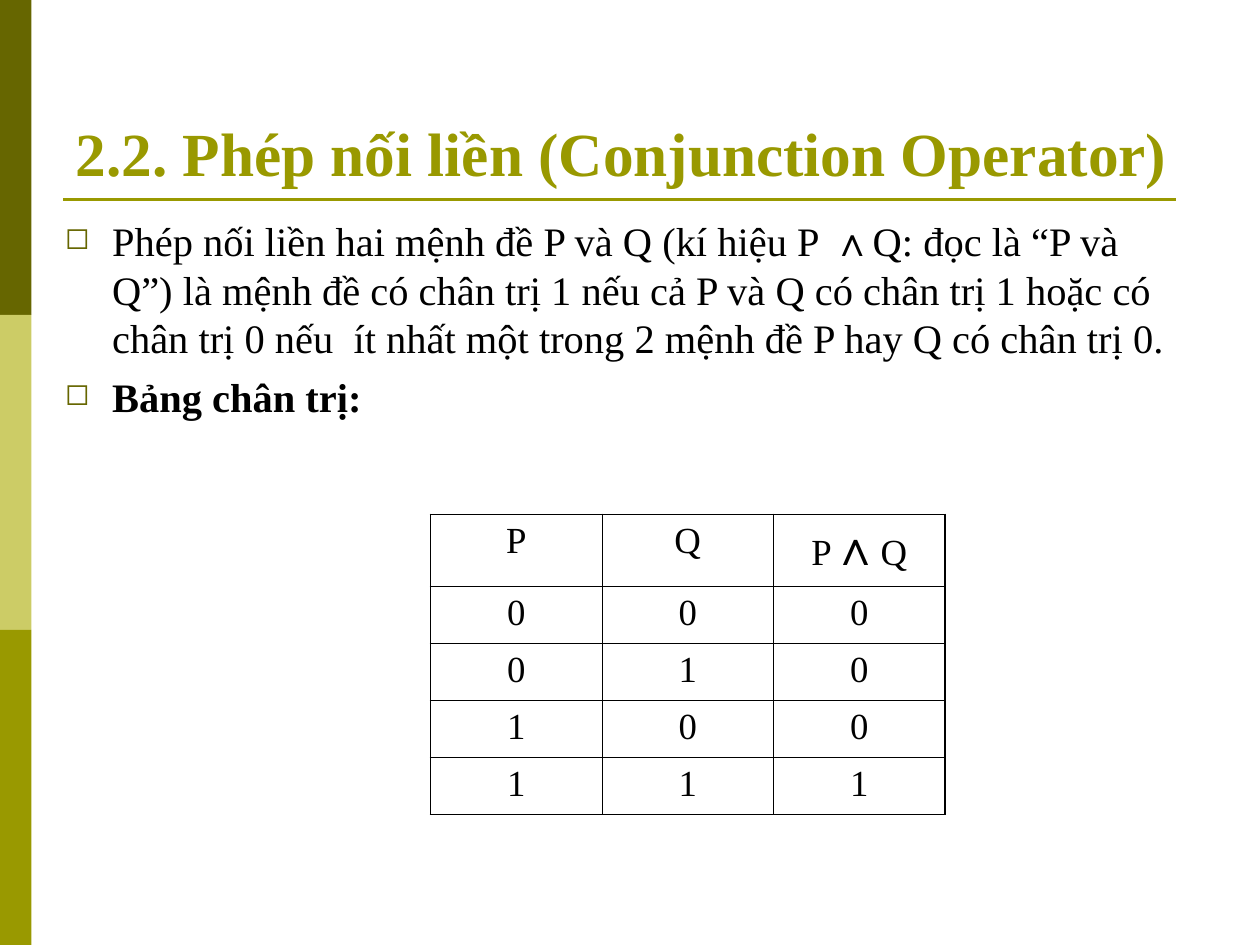
from dataclasses import dataclass

from lxml.etree import SubElement
from pptx import Presentation
from pptx.dml.color import RGBColor
from pptx.enum.shapes import MSO_CONNECTOR, MSO_SHAPE
from pptx.enum.text import MSO_ANCHOR, MSO_AUTO_SIZE, PP_ALIGN
from pptx.oxml.ns import qn
from pptx.util import Pt


@dataclass(frozen=True)
class Theme:
    """Colours, fonts and type sizes of the slide."""
    dark: str = "666600"
    light: str = "CCCC66"
    olive: str = "999900"
    ink: str = "000000"
    serif: str = "Times New Roman"
    symbol: str = "Arial"
    title: float = 35
    body: float = 23.1
    table: float = 21
    operator: float = 28


THEME = Theme()
AND = "∧"
DEFINITION = [
    "Phép nối liền hai mệnh đề P và Q (kí hiệu P",
    f" {AND}",
    "Q: đọc là “P và Q”) là mệnh đề có chân trị 1 nếu cả P và Q có chân trị 1 "
    "hoặc có chân trị 0 nếu  ít nhất một trong 2 mệnh đề P hay Q có chân trị 0.",
]
TRUTH_TABLE = [[["P"], ["Q"], ["P", AND, "Q"]]] + [
    [[str(value)] for value in (p, q, p & q)] for p in (0, 1) for q in (0, 1)
]


def rgb(colour):
    """Turn a hex string into a colour."""
    return RGBColor.from_string(colour)


def write(paragraph, pieces, size, colour=THEME.ink, bold=False, operator_size=None):
    """Write the pieces, giving the logical operator its own font."""
    font = paragraph.font
    font.size, font.bold, font.name = Pt(size), bold, THEME.serif
    font.color.rgb = rgb(colour)
    for piece in pieces:
        run = paragraph.add_run()
        run.text = piece
        if AND in piece:
            run.font.name = THEME.symbol
            run.font.size = Pt(operator_size or size)


def add_side_bar(slide):
    """Stack three equal colour bands on the left edge."""
    for row, colour in enumerate((THEME.dark, THEME.light, THEME.olive)):
        band = slide.shapes.add_shape(
            MSO_SHAPE.RECTANGLE, 0, Pt(180 * row), Pt(18), Pt(180))
        band.shadow.inherit = False
        band.fill.solid()
        band.fill.fore_color.rgb = rgb(colour)
        band.line.fill.background()


def add_title(slide, text):
    """Place the title and the rule beneath it."""
    title = slide.shapes.title
    title.left, title.top, title.width, title.height = Pt(36), Pt(54), Pt(648), Pt(57.6)
    frame = title.text_frame
    frame.auto_size = MSO_AUTO_SIZE.NONE
    frame.vertical_anchor = MSO_ANCHOR.BOTTOM
    paragraph = frame.paragraphs[0]
    paragraph.alignment = PP_ALIGN.LEFT
    write(paragraph, [text], THEME.title, THEME.olive, bold=True)
    rule = slide.shapes.add_connector(
        MSO_CONNECTOR.STRAIGHT, Pt(36), Pt(114), Pt(672), Pt(114))
    rule.line.color.rgb = rgb(THEME.olive)
    rule.line.width = Pt(1.5)
    SubElement(rule._element.spPr, qn("a:effectLst"))


def add_bullet(paragraph):
    """Give the paragraph a hanging square bullet."""
    properties = paragraph._p.get_or_add_pPr()
    properties.set("marL", str(Pt(27)))
    properties.set("indent", str(-Pt(27)))
    colour = SubElement(properties, qn("a:buClr"))
    SubElement(colour, qn("a:srgbClr"), val=THEME.dark)
    SubElement(properties, qn("a:buSzPct"), val="75000")
    SubElement(properties, qn("a:buChar"), char="◻")
    paragraph.space_before = Pt(6.2)


def add_body(slide):
    """Add the definition and the lead-in to the truth table."""
    frame = slide.shapes.add_textbox(Pt(30), Pt(120), Pt(654), Pt(150)).text_frame
    frame.word_wrap = True
    definition, lead_in = frame.paragraphs[0], frame.add_paragraph()
    for paragraph in (definition, lead_in):
        add_bullet(paragraph)
    write(definition, DEFINITION, THEME.body)
    write(lead_in, ["Bảng chân trị:"], THEME.body, bold=True)


def add_border(cell, side, width):
    """Draw one side of a cell."""
    border = SubElement(
        cell._tc.get_or_add_tcPr(), qn(f"a:ln{side}"), w=str(Pt(width)))
    fill = SubElement(border, qn("a:solidFill"))
    SubElement(fill, qn("a:srgbClr"), val=THEME.ink)


def add_truth_table(slide, rows):
    """Add the table with thin inner lines and a thicker frame."""
    last_row, last_column = len(rows) - 1, len(rows[0]) - 1
    table = slide.shapes.add_table(
        len(rows), len(rows[0]), Pt(246), Pt(294), Pt(294), Pt(171.4)).table
    table.first_row = table.horz_banding = False
    for column in table.columns:
        column.width = Pt(98)
    for r, values in enumerate(rows):
        table.rows[r].height = Pt(32.6 if r else 41)
        for c, pieces in enumerate(values):
            cell = table.cell(r, c)
            outer = {"L": c == 0, "R": c == last_column, "T": r == 0, "B": r == last_row}
            for side, is_outer in outer.items():
                add_border(cell, side, 1.08 if is_outer else 0.45)
            cell.fill.background()
            paragraph = cell.text_frame.paragraphs[0]
            paragraph.alignment = PP_ALIGN.CENTER
            paragraph.space_before = Pt(5.2)
            write(paragraph, pieces, THEME.table, operator_size=THEME.operator)


def main():
    """Build and save the slide."""
    presentation = Presentation()
    presentation.slide_width, presentation.slide_height = Pt(720), Pt(540)
    slide = presentation.slides.add_slide(presentation.slide_layouts[5])
    add_side_bar(slide)
    add_title(slide, "2.2. Phép nối liền (Conjunction Operator)")
    add_body(slide)
    add_truth_table(slide, TRUTH_TABLE)
    presentation.save("out.pptx")


if __name__ == "__main__":
    main()
